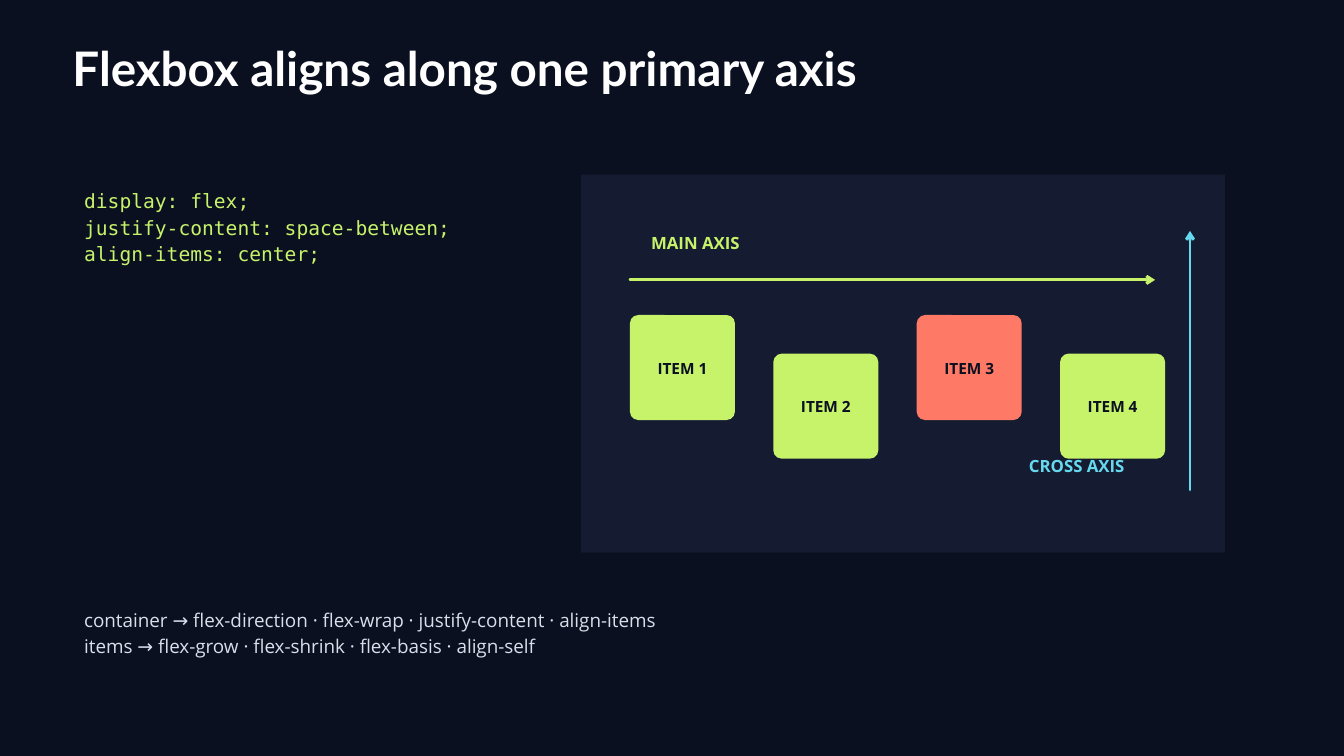
from lxml import etree
from pptx import Presentation
from pptx.dml.color import RGBColor
from pptx.enum import shapes, text
from pptx.oxml.ns import qn
from pptx.util import Cm, Pt

NAVY = RGBColor(0x0B, 0x10, 0x20)
PANEL = RGBColor(0x15, 0x1C, 0x31)
LIME = RGBColor(0xC7, 0xF3, 0x6B)
CORAL = RGBColor(0xFF, 0x7A, 0x66)
CYAN = RGBColor(0x66, 0xD9, 0xEF)
PALE = RGBColor(0xD8, 0xDE, 0xEA)
WHITE = RGBColor(0xFF, 0xFF, 0xFF)

# Content
TITLE = "Flexbox aligns along one primary axis"
CODE = ["display: flex;", "justify-content: space-between;", "align-items: center;"]
PROPERTIES = [
    "container → flex-direction · flex-wrap · justify-content · align-items",
    "items → flex-grow · flex-shrink · flex-basis · align-self",
]
ITEMS = [("ITEM 1", LIME), ("ITEM 2", LIME), ("ITEM 3", CORAL), ("ITEM 4", LIME)]
# Axis: name, label left and top, line start, line end, colour
AXES = [
    ("MAIN AXIS", (24.61, 8.66), (23.81, 10.58), (43.66, 10.58), LIME),
    ("CROSS AXIS", (38.89, 17.12), (44.98, 18.52), (44.98, 8.73), CYAN),
]

# Item row, in centimetres
ITEM_LEFT, ITEM_TOP, ITEM_SIZE = 23.81, 11.91, 3.97
ITEM_STEP, ITEM_DROP = 5.42, 1.46


def place(box, left, top, width, height):
    box.left, box.top, box.width, box.height = Cm(left), Cm(top), Cm(width), Cm(height)


def write(box, lines, *, font, size, color, leading, bold=False, bullets_off=False,
          align=text.PP_ALIGN.LEFT, anchor=text.MSO_ANCHOR.TOP, insets=(0, 0, 0, 0)):
    frame = box.text_frame
    frame.word_wrap = True
    frame.auto_size = text.MSO_AUTO_SIZE.NONE
    frame.vertical_anchor = anchor
    (frame.margin_left, frame.margin_top,
     frame.margin_right, frame.margin_bottom) = map(Cm, insets)
    for number, line in enumerate(lines):
        para = frame.paragraphs[0] if number == 0 else frame.add_paragraph()
        para.alignment = align
        para.line_spacing = Pt(leading)
        para.space_before = para.space_after = Pt(0)
        if bullets_off:
            properties = para._p.get_or_add_pPr()
            properties.set("marL", "0")
            properties.set("indent", "0")
            etree.SubElement(properties, qn("a:buNone"))
        span = para.add_run()
        span.text = line
        span.font.name, span.font.size = font, Pt(size)
        span.font.bold, span.font.color.rgb = bold, color


def add_text(page, place_at, lines, **style):
    box = page.shapes.add_textbox(*map(Cm, place_at))
    write(box, lines, **style)


def add_block(page, kind, place_at, color):
    box = page.shapes.add_shape(kind, *map(Cm, place_at))
    box.shadow.inherit = False
    box.fill.solid()
    box.fill.fore_color.rgb = color
    box.line.fill.background()
    return box


def add_arrow(page, start, end, color):
    arrow = page.shapes.add_connector(
        shapes.MSO_CONNECTOR.STRAIGHT, *map(Cm, start + end))
    arrow.line.color.rgb, arrow.line.width = color, Pt(3)
    line = arrow.line._get_or_add_ln()
    line.set("cap", "rnd")
    etree.SubElement(line, qn("a:round"))
    etree.SubElement(line, qn("a:tailEnd"), type="arrow")
    etree.SubElement(arrow._element.spPr, qn("a:effectLst"))


def main():
    deck = Presentation()
    deck.slide_width, deck.slide_height = Cm(50.8), Cm(28.58)
    page = deck.slides.add_slide(deck.slide_layouts[1])
    page.background.fill.solid()
    page.background.fill.fore_color.rgb = NAVY

    # Title, code and property list
    title, body = page.placeholders
    place(title, 2.74, 1.8, 39.67, 2.21)
    write(title, [TITLE], font="Lato", size=51, color=WHITE, leading=52, bold=True)
    add_text(page, (3.18, 7.04, 17.2, 2.92), CODE,
             font="DejaVu Sans Mono", size=21, color=LIME, leading=28.4)
    place(body, 3.18, 22.91, 43.66, 1.91)
    write(body, PROPERTIES, font="Open Sans", size=20.2, color=PALE,
          leading=27.3, bullets_off=True)

    # Flex container with items on alternating levels
    add_block(page, shapes.MSO_SHAPE.RECTANGLE, (21.97, 6.6, 24.33, 14.29), PANEL)
    for number, (name, color) in enumerate(ITEMS):
        left = ITEM_LEFT + number * ITEM_STEP
        top = ITEM_TOP + number % 2 * ITEM_DROP
        item = add_block(page, shapes.MSO_SHAPE.ROUNDED_RECTANGLE,
                         (left, top, ITEM_SIZE, ITEM_SIZE), color)
        item.adjustments[0] = 0.08
        write(item, [name], font="Open Sans", size=16.5, color=NAVY, leading=23.1,
              bold=True, align=text.PP_ALIGN.CENTER,
              anchor=text.MSO_ANCHOR.MIDDLE, insets=(0.16, 0.16, 0.16, 0.24))

    # Axes and their labels
    for name, corner, start, end, color in AXES:
        add_arrow(page, start, end, color)
        add_text(page, corner + (7.94, 0.84), [name], font="Open Sans", size=18,
                 color=color, leading=25.2, bold=True)

    deck.save("out.pptx")


if __name__ == "__main__":
    main()
